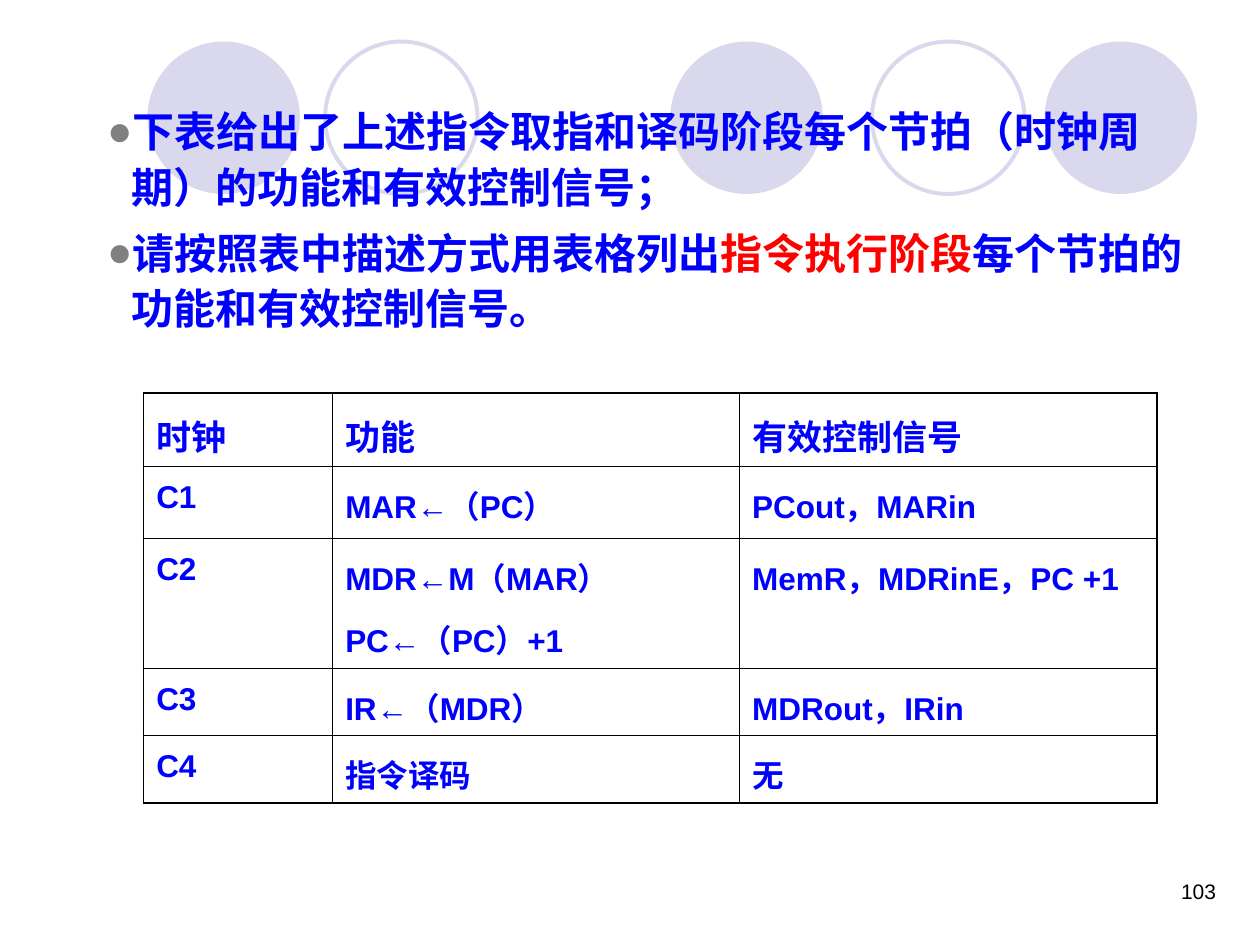
from lxml.etree import SubElement
from pptx import Presentation
from pptx.dml.color import RGBColor
from pptx.enum.shapes import MSO_SHAPE
from pptx.enum.text import MSO_AUTO_SIZE, MSO_ANCHOR, PP_ALIGN
from pptx.oxml import parse_xml
from pptx.oxml.ns import nsdecls, qn
from pptx.util import Inches, Pt

# Content
BLUE, RED, LILAC, GREY, BLACK = "0000FF", "FF0000", "D9D8EC", "808080", "000000"
CIRCLES = [(5.32, True), (8.29, True), (1.17, True), (6.92, False), (2.58, False)]
POINTS = [
    [("下表给出了上述指令取指和译码阶段每个节拍（时钟周期）的功能和有效控制信号；", BLUE)],
    [("请按照表中描述方式用表格列出", BLUE), ("指令执行阶段", RED),
     ("每个节拍的功能和有效控制信号。", BLUE)],
]
ROWS = [
    ("时钟", "功能", "有效控制信号"),
    ("C1", "MAR←（PC）", "PCout，MARin"),
    ("C2", "MDR←M（MAR）\nPC←（PC）+1", "MemR，MDRinE，PC +1"),
    ("C3", "IR←（MDR）", "MDRout，IRin"),
    ("C4", "指令译码", "无"),
]
COL_W = [1.5, 3.23, 3.31]
ROW_H = [0.5, 0.57, 0.88, 0.52, 0.49]
THICK, THIN = 1.08, 0.45
PAGE = "103"


def rgb(color):
    return RGBColor.from_string(color)


def add_run(p, text, size, color, bold=True):
    r = p.add_run()
    r.text = text
    r.font.name, r.font.size, r.font.bold = "Arial", Pt(size), bold
    r.font.color.rgb = rgb(color)


def set_spacing(p, line, gap, first):
    p.line_spacing = line
    p.space_before = Pt(0 if first else gap)
    p.space_after = Pt(gap)


def set_bullet(p, char, color):
    pPr = p._p.get_or_add_pPr()
    pPr.set("marL", str(Inches(0.19)))
    pPr.set("indent", str(-Inches(0.19)))
    SubElement(SubElement(pPr, qn("a:buClr")), qn("a:srgbClr")).set("val", color)
    SubElement(pPr, qn("a:buFont")).set("typeface", "Arial")
    SubElement(pPr, qn("a:buChar")).set("char", char)


def set_borders(cell, widths):
    tcPr = cell._tc.get_or_add_tcPr()
    for i, (side, width) in enumerate(zip("LRTB", widths)):
        tcPr.insert(i, parse_xml(
            f'<a:ln{side} {nsdecls("a")} w="{Pt(width)}"><a:solidFill>'
            f'<a:srgbClr val="{BLACK}"/></a:solidFill></a:ln{side}>'))


prs = Presentation()
prs.slide_width, prs.slide_height = Inches(10), Inches(7.5)
s = prs.slides.add_slide(prs.slide_layouts[1])
title, body = s.placeholders
title._element.getparent().remove(title._element)

# Row of circles behind the text
for left, filled in CIRCLES:
    sp = s.shapes.add_shape(MSO_SHAPE.OVAL, Inches(left), Inches(0.33),
                            Inches(1.21), Inches(1.21))
    sp.shadow.inherit = False
    if filled:
        sp.fill.solid()
        sp.fill.fore_color.rgb = rgb(LILAC)
        sp.line.fill.background()
    else:
        sp.fill.background()
        sp.line.color.rgb = rgb(LILAC)
        sp.line.width = Pt(2.25)

# Bulleted text, moved in front of the circles
s.shapes._spTree.append(body._element)
body.left, body.top = Inches(0.75), Inches(0.75)
body.width, body.height = Inches(9), Inches(2.06)
tf = body.text_frame
tf.auto_size = MSO_AUTO_SIZE.NONE
tf.vertical_anchor = MSO_ANCHOR.TOP
for i, runs in enumerate(POINTS):
    p = tf.add_paragraph() if i else tf.paragraphs[0]
    set_bullet(p, "●", GREY)
    set_spacing(p, 1.1, 3, i == 0)
    for text, color in runs:
        add_run(p, text, 24, color)

# Table of clock steps
table = s.shapes.add_table(len(ROWS), len(COL_W), Inches(1.14), Inches(3.12),
                           Inches(sum(COL_W)), Inches(sum(ROW_H))).table
table.first_row = table.horz_banding = False
for column, width in zip(table.columns, COL_W):
    column.width = Inches(width)
for y, (row, height) in enumerate(zip(ROWS, ROW_H)):
    table.rows[y].height = Inches(height)
    size, gap = (18, 2.2) if y else (20, 2.5)
    for x, text in enumerate(row):
        cell = table.cell(y, x)
        cell.fill.background()
        outer = (x == 0, x == len(COL_W) - 1, y == 0, y == len(ROWS) - 1)
        set_borders(cell, [THICK if edge else THIN for edge in outer])
        tf = cell.text_frame
        for i, line in enumerate(text.split("\n")):
            p = tf.add_paragraph() if i else tf.paragraphs[0]
            set_spacing(p, 1.2, gap, i == 0)
            add_run(p, line, size, BLUE)

# Page number
tf = s.shapes.add_textbox(Inches(7.42), Inches(6.92), Inches(2.33), Inches(0.5)).text_frame
tf.word_wrap = True
p = tf.paragraphs[0]
p.alignment = PP_ALIGN.RIGHT
add_run(p, PAGE, 12, BLACK, bold=False)

prs.save("out.pptx")
